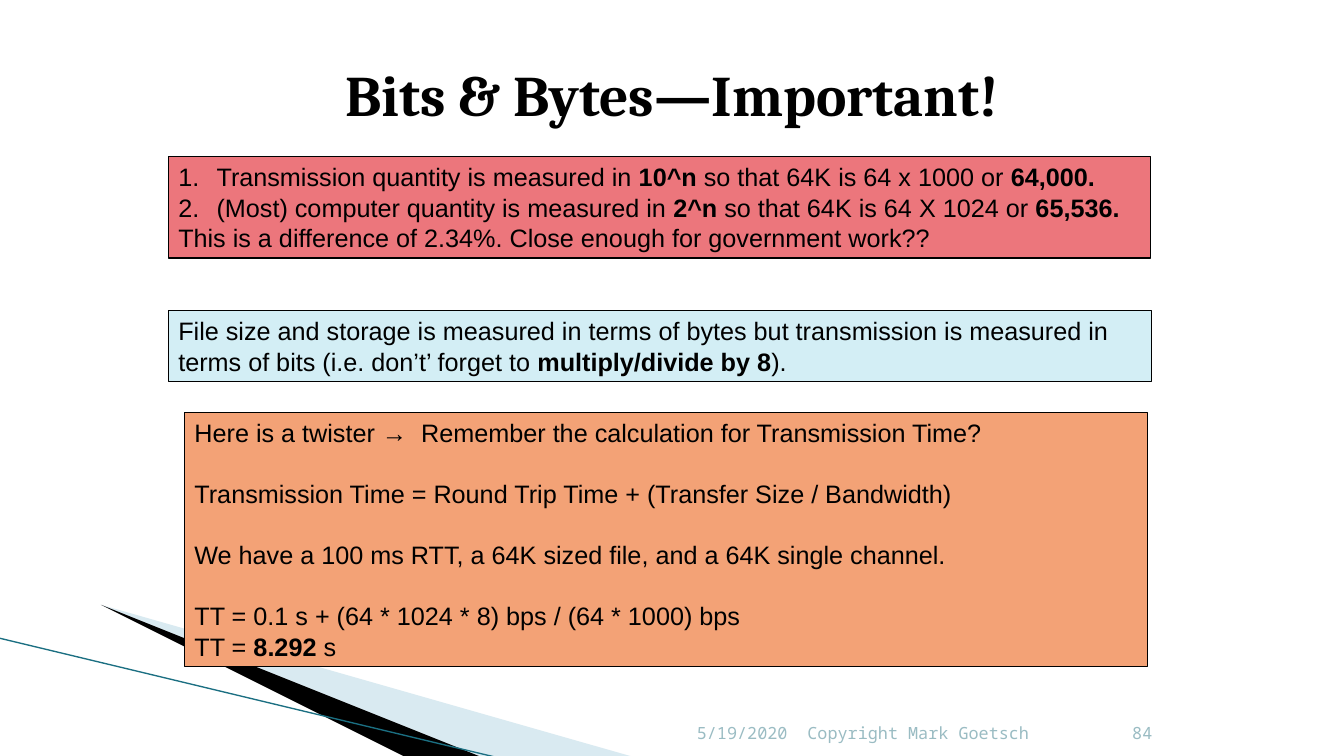
from dataclasses import dataclass

from lxml import etree
from pptx import Presentation
from pptx.dml.color import RGBColor
from pptx.enum.shapes import MSO_CONNECTOR, MSO_SHAPE
from pptx.enum.text import MSO_ANCHOR, MSO_AUTO_SIZE, PP_ALIGN
from pptx.oxml.ns import qn
from pptx.util import Inches, Pt


@dataclass(frozen=True)
class Theme:
    ink: str = "000000"
    red: str = "EC767C"
    orange: str = "F3A276"
    blue: str = "D3EEF5"
    footer: str = "9ABCC3"
    wedge: str = "A0CBDC"
    edge: str = "1B6F82"
    title_font: str = "Cambria"
    body_font: str = "Arial"
    footer_font: str = "Noto Sans Mono"
    title_size: float = 41
    body_size: float = 18
    body_line: float = 21.8
    footer_size: float = 12


T = Theme()


def rgb(value):
    return RGBColor.from_string(value)


def style(r, font, size, color, bold=False):
    r.font.name, r.font.size, r.font.bold = font, Pt(size), bold
    r.font.color.rgb = rgb(color)


def add_wedge(s, points, color, opacity=100):
    builder = s.shapes.build_freeform(*points[0], scale=Inches(1))
    builder.add_line_segments(points[1:], close=True)
    sp = builder.convert_to_shape()
    sp.shadow.inherit = False
    sp.fill.solid()
    sp.fill.fore_color.rgb = rgb(color)
    sp.line.fill.background()
    if opacity < 100:
        clr = sp.fill._xPr.find(qn("a:solidFill"))[0]
        etree.SubElement(clr, qn("a:alpha"), val=str(opacity * 1000))


# Corner decoration, placed from its left edge and the slide's bottom
def add_corner(s, left, bottom):
    top = bottom - 1
    add_wedge(s, [(left, top), (left + 7.2, bottom), (left + 5.35, bottom)],
              T.wedge, 40)
    add_wedge(s, [(left, top), (left + 5.36, bottom), (left + 4.23, bottom)], T.ink)
    line = s.shapes.add_connector(
        MSO_CONNECTOR.STRAIGHT, Inches(left - 0.74), Inches(bottom - 1.17),
        Inches(left + 4.22), Inches(bottom + 0.02))
    line.line.color.rgb = rgb(T.edge)
    line.line.width = Pt(0.95)
    etree.SubElement(line._element.spPr, qn("a:effectLst"))


def add_title(s, text, left, top, width, height):
    sp = s.shapes.title
    sp.left, sp.top, sp.width, sp.height = map(Inches, (left, top, width, height))
    tf = sp.text_frame
    tf.text = text
    tf.auto_size = MSO_AUTO_SIZE.NONE
    tf.vertical_anchor = MSO_ANCHOR.MIDDLE
    p = tf.paragraphs[0]
    p.alignment = PP_ALIGN.CENTER
    style(p.runs[0], T.title_font, T.title_size, T.ink, True)


# Footer fields sit side by side
def add_footer(s, fields, left, top, height):
    for text, width, align in fields:
        sp = s.shapes.add_textbox(*map(Inches, (left, top, width, height)))
        tf = sp.text_frame
        tf.word_wrap = True
        tf.vertical_anchor = MSO_ANCHOR.BOTTOM
        tf.text = text
        p = tf.paragraphs[0]
        p.alignment = align
        style(p.runs[0], T.footer_font, T.footer_size, T.footer)
        left += width


# A panel's paragraphs are split at "**", which switches bold on and off
def add_panel(s, lines, color, left, top, width, height, numbered=0, gaps=()):
    sp = s.shapes.add_shape(MSO_SHAPE.RECTANGLE,
                            *map(Inches, (left, top, width, height)))
    sp.shadow.inherit = False
    sp.fill.solid()
    sp.fill.fore_color.rgb = rgb(color)
    sp.line.color.rgb = rgb(T.ink)
    sp.line.width = Pt(0.75)
    tf = sp.text_frame
    tf.word_wrap = True
    tf.vertical_anchor = MSO_ANCHOR.TOP
    for i, line in enumerate(lines):
        p = tf.paragraphs[0] if i == 0 else tf.add_paragraph()
        p.alignment = PP_ALIGN.LEFT
        p.line_spacing = Pt(T.body_line)
        if i in gaps:
            p.space_before = Pt(T.body_line)
        if i < numbered:
            pPr = p._p.get_or_add_pPr()
            pPr.set("marL", str(Inches(0.38)))
            pPr.set("indent", str(-Inches(0.38)))
            etree.SubElement(pPr, qn("a:buFont"), typeface=T.body_font)
            etree.SubElement(pPr, qn("a:buAutoNum"), type="arabicPeriod")
        for j, part in enumerate(line.split("**")):
            if part:
                r = p.add_run()
                r.text = part
                style(r, T.body_font, T.body_size, T.ink, j % 2 == 1)


def add_bits_slide(prs):
    s = prs.slides.add_slide(prs.slide_layouts[5])
    add_corner(s, 0.73, 7.5)
    add_title(s, "Bits & Bytes—Important!", 0.67, 0.3, 12, 1.25)
    add_footer(s, [("5/19/2020", 2.33, PP_ALIGN.RIGHT),
                   ("Copyright Mark Goetsch", 3.17, PP_ALIGN.LEFT),
                   ("84", 0.5, PP_ALIGN.CENTER)], 5.58, 6.9, 0.52)
    # Units of quantity
    add_panel(s, [
        "Transmission quantity is measured in **10^n** so that 64K is 64 x 1000 or **64,000.**",
        "(Most) computer quantity is measured in **2^n** so that 64K is 64 X 1024 or **65,536.**",
        "This is a difference of 2.34%. Close enough for government work??",
    ], T.red, 1.67, 1.55, 9.74, 1.01, numbered=2)
    # Worked example
    add_panel(s, [
        "Here is a twister →  Remember the calculation for Transmission Time?",
        "Transmission Time = Round Trip Time + (Transfer Size / Bandwidth)",
        "We have a 100 ms RTT, a 64K sized file, and a 64K single channel.",
        "TT = 0.1 s + (64 * 1024 * 8) bps / (64 * 1000) bps",
        "TT = **8.292** s",
    ], T.orange, 1.83, 4.09, 9.55, 2.52, gaps=(1, 2, 3))
    # Bytes against bits
    add_panel(s, [
        "File size and storage is measured in terms of bytes but transmission is measured in "
        "terms of bits (i.e. don’t’ forget to **multiply/divide by 8**).",
    ], T.blue, 1.67, 3.08, 9.75, 0.71)


def main():
    prs = Presentation()
    prs.slide_width, prs.slide_height = Inches(13.33), Inches(7.5)
    add_bits_slide(prs)
    prs.save("out.pptx")


if __name__ == "__main__":
    main()
